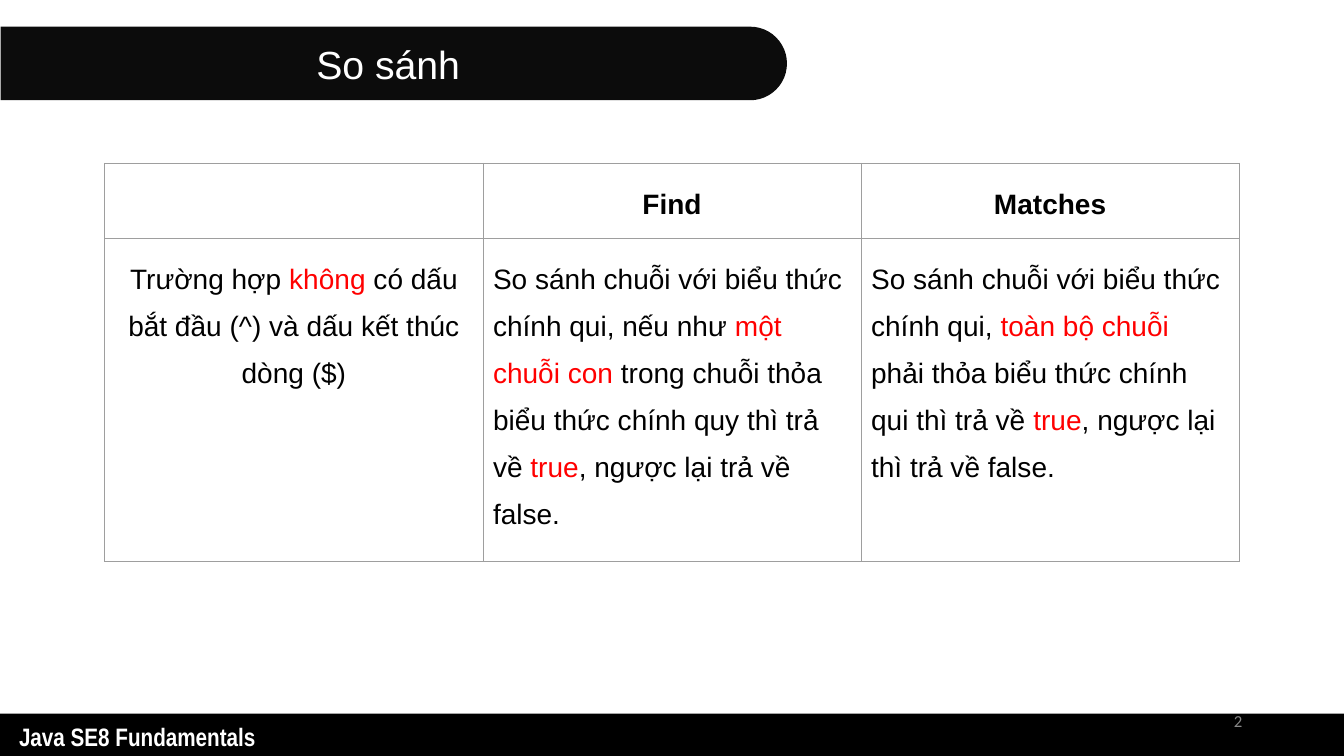
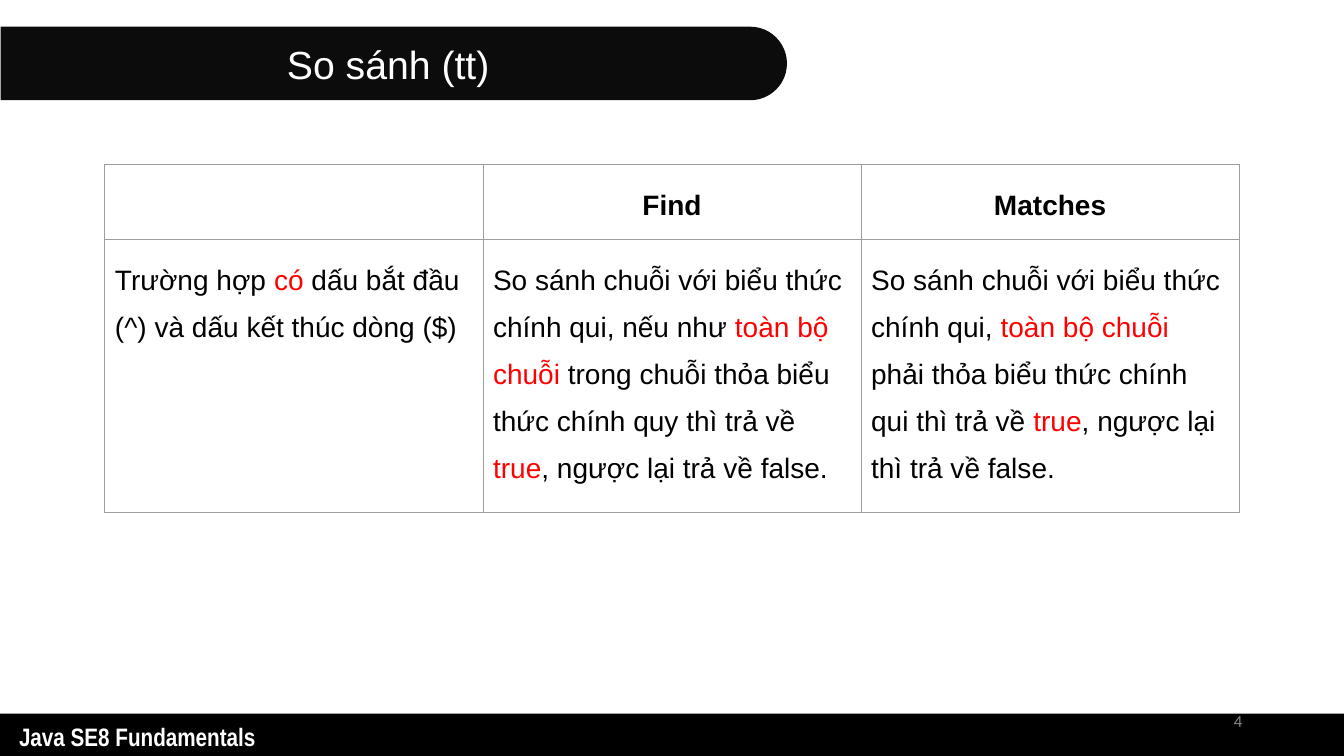
from lxml.etree import SubElement
from pptx import Presentation
from pptx.dml.color import RGBColor
from pptx.enum.shapes import MSO_SHAPE
from pptx.enum.text import MSO_ANCHOR, PP_ALIGN
from pptx.oxml.ns import qn
from pptx.util import Inches, Pt

COLOURS = {
    "footer": "000000",
    "title_bar": "0C0C0C",
    "light": "FFFFFF",
    "ink": "000000",
    "accent": "FF0000",
    "number": "888888",
    "grid": "9E9E9E",
}
FONTS = {
    "title": {"name": "Arial", "size": Pt(28), "bold": False},
    "footer": {"name": "Arial Narrow", "size": Pt(18), "bold": True},
    "number": {"name": "Calibri", "size": Pt(12), "bold": False},
    "header": {"name": "Arial", "size": Pt(20), "bold": True},
    "body": {"name": "Arial", "size": Pt(20), "bold": False},
}
COLUMN_WIDTH = 3.75
ROW_HEIGHTS = (0.75, 2.19)
MARK = "*"


def colour(key):
    return RGBColor.from_string(COLOURS[key])


def set_all(target, values):
    for attribute, value in values.items():
        setattr(target, attribute, value)


class Deck:
    def __init__(self):
        self.presentation = Presentation()
        set_all(self.presentation, {"slide_width": Inches(13.33), "slide_height": Inches(7.5)})
        self.slide = None

    def new_slide(self, title, number):
        self.slide = self.presentation.slides.add_slide(self.presentation.slide_layouts[6])
        self.block(MSO_SHAPE.RECTANGLE, (0, 7.08, 13.33, 0.46), "footer")
        self.label("Java SE8 Fundamentals", (0.09, 7.11, 3.28, 0.4), "footer", "light",
                   PP_ALIGN.LEFT, MSO_ANCHOR.TOP)
        self.label(str(number), (9.42, 6.95, 3, 0.4), "number", "number", PP_ALIGN.RIGHT)
        title_bar = self.block(MSO_SHAPE.ROUND_2_SAME_RECTANGLE, (3.54, -3.27, 0.73, 7.8), "title_bar")
        title_bar.rotation = 90
        title_bar.adjustments[0] = 0.5
        self.label(title, (0, 0.38, 7.7, 0.51), "title", "light", PP_ALIGN.CENTER)

    def block(self, preset, box, fill):
        shape = self.slide.shapes.add_shape(preset, *map(Inches, box))
        shape.shadow.inherit = False
        shape.fill.solid()
        shape.fill.fore_color.rgb = colour(fill)
        shape.line.fill.background()
        return shape

    def label(self, text, box, font, ink, align, anchor=MSO_ANCHOR.MIDDLE):
        frame = self.slide.shapes.add_textbox(*map(Inches, box)).text_frame
        set_all(frame, {"word_wrap": True, "vertical_anchor": anchor})
        self.add_runs(frame.paragraphs[0], text, font, ink, align)

    def add_runs(self, paragraph, text, font, ink, align):
        paragraph.alignment = align
        for position, part in enumerate(text.split(MARK)):
            run = paragraph.add_run()
            run.text = part
            set_all(run.font, FONTS[font])
            run.font.color.rgb = colour("accent" if position % 2 else ink)

    def comparison(self, top, case, case_align, find, matches):
        rows = (("", "Find", "Matches"), (case, find, matches))
        table = self.slide.shapes.add_table(
            len(rows), len(rows[0]), Inches(1.04), Inches(top),
            Inches(COLUMN_WIDTH * len(rows[0])), Inches(sum(ROW_HEIGHTS))).table
        set_all(table, {"first_row": False, "horz_banding": False})
        for column in table.columns:
            column.width = Inches(COLUMN_WIDTH)
        for row, height in zip(table.rows, ROW_HEIGHTS):
            row.height = Inches(height)
        body_aligns = (case_align, PP_ALIGN.LEFT, PP_ALIGN.LEFT)
        for r, texts in enumerate(rows):
            for c, text in enumerate(texts):
                align = body_aligns[c] if r else PP_ALIGN.CENTER
                self.cell(table.cell(r, c), text, "body" if r else "header", align)

    def cell(self, cell, text, font, align):
        margins = ("margin_left", "margin_top", "margin_right", "margin_bottom")
        set_all(cell, dict.fromkeys(margins, Inches(0.1)))
        if text:
            paragraph = cell.text_frame.paragraphs[0]
            paragraph.line_spacing = 1.5
            self.add_runs(paragraph, text, font, "ink", align)
        properties = cell._tc.get_or_add_tcPr()
        for side in ("a:lnL", "a:lnR", "a:lnT", "a:lnB"):
            border = SubElement(properties, qn(side), w=str(Pt(0.75)))
            fill = SubElement(border, qn("a:solidFill"))
            SubElement(fill, qn("a:srgbClr"), val=COLOURS["grid"])
        cell.fill.background()


def main():
    deck = Deck()
    matches = ("So sánh chuỗi với biểu thức chính qui, *toàn bộ chuỗi *phải thỏa biểu thức "
               "chính qui thì trả về *true*, ngược lại thì trả về false.")
    find = ("So sánh chuỗi với biểu thức chính qui, nếu như *{}* trong chuỗi thỏa biểu thức "
            "chính quy thì trả về *true*, ngược lại trả về false.")

    deck.new_slide("So sánh", 2)
    deck.comparison(1.62, "Trường hợp *không *có dấu bắt đầu (^) và dấu kết thúc dòng ($)",
                    PP_ALIGN.CENTER, find.format("một chuỗi con"), matches)

    deck.new_slide("So sánh (tt)", 4)
    deck.comparison(1.63, "Trường hợp *có *dấu bắt đầu (^) và dấu kết thúc dòng ($)",
                    PP_ALIGN.LEFT, find.format("toàn bộ chuỗi"), matches)

    deck.presentation.save("out.pptx")


if __name__ == "__main__":
    main()
